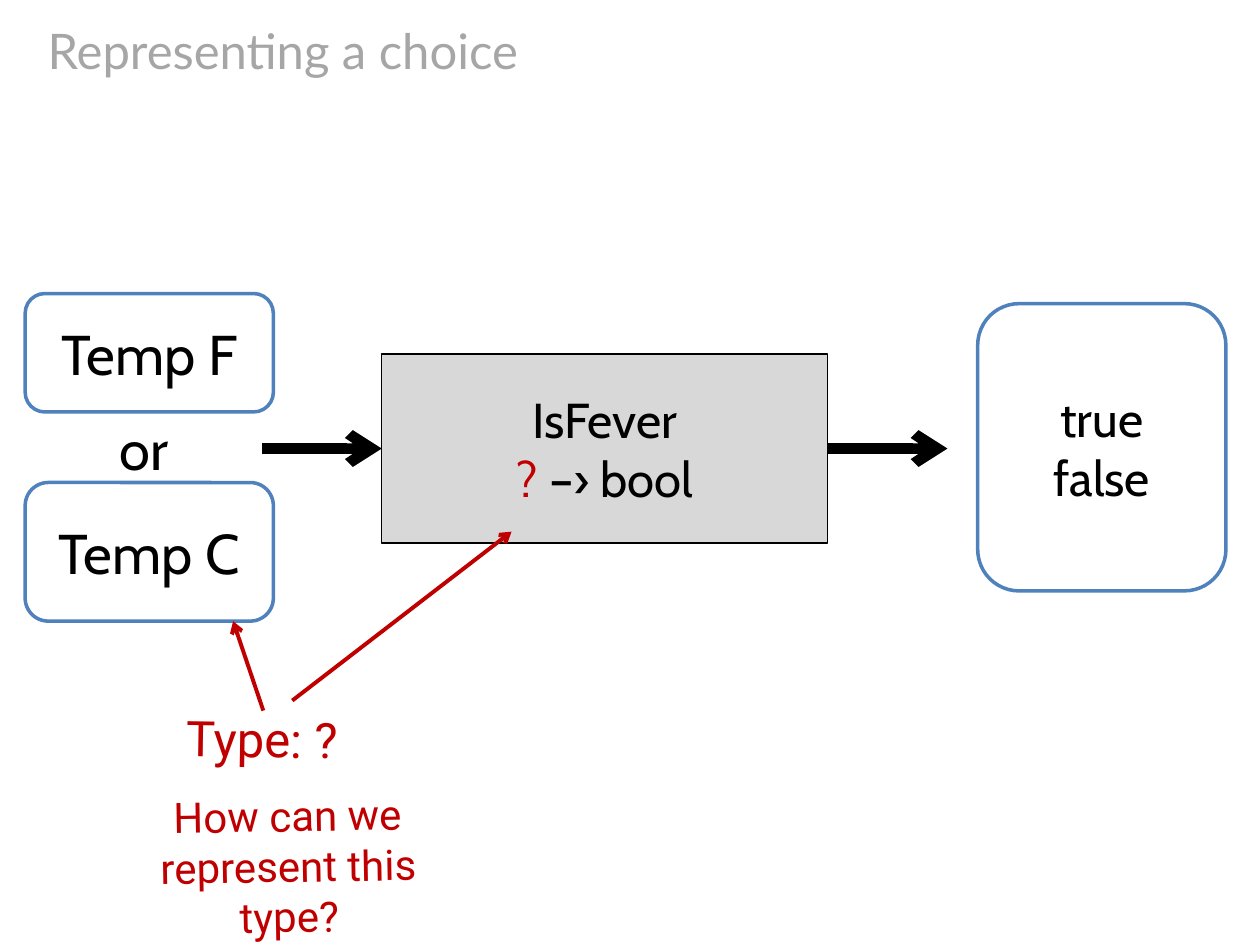
"""Builds the slide on choosing between two temperature types for IsFever."""
from dataclasses import dataclass
from typing import Optional

import lxml.etree
import pptx
import pptx.dml.color
import pptx.enum.shapes
import pptx.enum.text
import pptx.oxml.ns
import pptx.util

CELL = 0.1
COLUMNS, ROWS = 100, 75
BLACK, RED, BLUE, GREY, WHITE = "000000", "C00000", "4F81BD", "D8D8D8", "FFFFFF"
Kind = pptx.enum.shapes.MSO_SHAPE
Align = pptx.enum.text.PP_ALIGN
Anchor = pptx.enum.text.MSO_ANCHOR


@dataclass(frozen=True)
class Lettering:
    """Text as lines of (wording, colour) pieces, with its font and placing."""
    lines: tuple
    size: float
    font: str = "Cabin"
    align: Align = Align.CENTER
    anchor: Anchor = Anchor.MIDDLE
    soft_breaks: bool = False
    inset: Optional[float] = None


@dataclass(frozen=True)
class Box:
    """A lettered area measured in grid columns and rows."""
    left: float
    top: float
    width: float
    height: float
    lettering: Lettering
    kind: Optional[Kind] = None
    fill: Optional[str] = None
    outline: Optional[str] = None
    weight: float = 2
    rotation: float = 0


@dataclass(frozen=True)
class Arrow:
    """An arrow between two grid points."""
    start: tuple
    end: tuple
    colour: str
    weight: float


def grid(cells: float) -> int:
    """Turn a count of grid cells into a length."""
    return pptx.util.Inches(cells * CELL)


def colour(hex_code: str) -> pptx.dml.color.RGBColor:
    """Turn a hex string into a colour."""
    return pptx.dml.color.RGBColor.from_string(hex_code)


def apply(target, values: dict) -> None:
    """Set every attribute in a dict of format values."""
    for attribute, value in values.items():
        setattr(target, attribute, value)


def write(frame, lettering: Lettering) -> None:
    """Fill a text frame with lettering."""
    apply(frame, {"word_wrap": True, "vertical_anchor": lettering.anchor})
    if lettering.inset is not None:
        margin = grid(lettering.inset)
        apply(frame, dict.fromkeys(
            ("margin_left", "margin_top", "margin_right", "margin_bottom"), margin))
    paragraph = frame.paragraphs[0]
    for index, line in enumerate(lettering.lines):
        if index and lettering.soft_breaks:
            paragraph.add_line_break()
        elif index:
            paragraph = frame.add_paragraph()
        paragraph.alignment = lettering.align
        for wording, ink in line:
            run = paragraph.add_run()
            run.text = wording
            apply(run.font, {"name": lettering.font,
                             "size": pptx.util.Pt(lettering.size)})
            run.font.color.rgb = colour(ink)


def draw_box(slide, box: Box):
    """Draw a box or plain text area and return its shape."""
    area = [grid(cells) for cells in (box.left, box.top, box.width, box.height)]
    if box.kind is None:
        shape = slide.shapes.add_textbox(*area)
    else:
        shape = slide.shapes.add_shape(box.kind, *area)
        shape.shadow.inherit = False
        if box.fill:
            shape.fill.solid()
            shape.fill.fore_color.rgb = colour(box.fill)
        else:
            shape.fill.background()
        if box.outline:
            shape.line.color.rgb = colour(box.outline)
            shape.line.width = pptx.util.Pt(box.weight)
        else:
            shape.line.fill.background()
    shape.rotation = box.rotation
    write(shape.text_frame, box.lettering)
    return shape


def draw_arrow(slide, arrow: Arrow):
    """Draw an arrow with an open head and return its connector."""
    connector = slide.shapes.add_connector(
        pptx.enum.shapes.MSO_CONNECTOR.STRAIGHT,
        *(grid(cells) for cells in arrow.start + arrow.end))
    connector.line.color.rgb = colour(arrow.colour)
    connector.line.width = pptx.util.Pt(arrow.weight)
    qn = pptx.oxml.ns.qn
    lxml.etree.SubElement(connector.line._get_or_add_ln(), qn("a:tailEnd"), type="arrow")
    lxml.etree.SubElement(connector._element.spPr, qn("a:effectLst"))
    return connector


def choice(wording: str, top: float, height: float) -> Box:
    """Describe one of the alternative inputs."""
    return Box(2, top, 19.7, height, Lettering((((wording, BLACK),),), 32),
               Kind.ROUNDED_RECTANGLE, WHITE, BLUE)


def note(wording: str, size: float, align: Align) -> Lettering:
    """Describe the lettering of a red remark."""
    return Lettering((((wording, RED),),), size, "Roboto", align, Anchor.TOP)


def main() -> None:
    """Build and save the slide."""
    deck = pptx.Presentation()
    apply(deck, {"slide_width": grid(COLUMNS), "slide_height": grid(ROWS)})
    slide = deck.slides.add_slide(deck.slide_layouts[6])

    heading = Lettering(((("Representing a choice", "A6A6A6"),),), 28, "Lato", Align.LEFT)
    signature = Lettering(((("IsFever", BLACK),), (("? ", RED), ("–› bool", BLACK))),
                          28, soft_breaks=True)
    results = Lettering(((("true", BLACK),), (("false", BLACK),)), 28)
    either = Lettering(((("or", BLACK),),), 32, inset=0)

    function = Box(30.3, 28.1, 35.4, 15, signature, Kind.RECTANGLE, GREY, BLACK, 0.75)
    middle = function.top + function.height / 2
    right = function.left + function.width
    reach = 9.5

    draw_box(slide, Box(2.8, 1.3, 94.5, 5.4, heading))
    draw_box(slide, choice("Temp F", 23.3, 9.4))
    into, out = (
        draw_arrow(slide, Arrow((start, middle), (start + reach, middle), BLACK, 6))
        for start in (function.left - reach, right))
    function_shape = draw_box(slide, function)
    into.end_connect(function_shape, 1)
    out.begin_connect(function_shape, 3)
    draw_box(slide, Box(77.6, 24.1, 19.7, 22.8, results,
                        Kind.ROUNDED_RECTANGLE, WHITE, BLUE))
    draw_box(slide, Box(9.1, 62.2, 27.5, 9.1,
                        note("How can we represent this type?", 24, Align.CENTER),
                        rotation=359))
    draw_box(slide, choice("Temp C", 38.3, 11))
    draw_box(slide, Box(4.3, 32.8, 14.2, 5.5, either, Kind.ROUNDED_RECTANGLE))
    draw_box(slide, Box(13.8, 55.9, 27.9, 5.7, note("Type: ?", 28, Align.LEFT),
                        rotation=1))
    for start, end in (((20.9, 56.4), (18.5, 49.3)), ((23.2, 55.6), (40.6, 42.2))):
        draw_arrow(slide, Arrow(start, end, RED, 2.25))

    deck.save("out.pptx")


if __name__ == "__main__":
    main()
